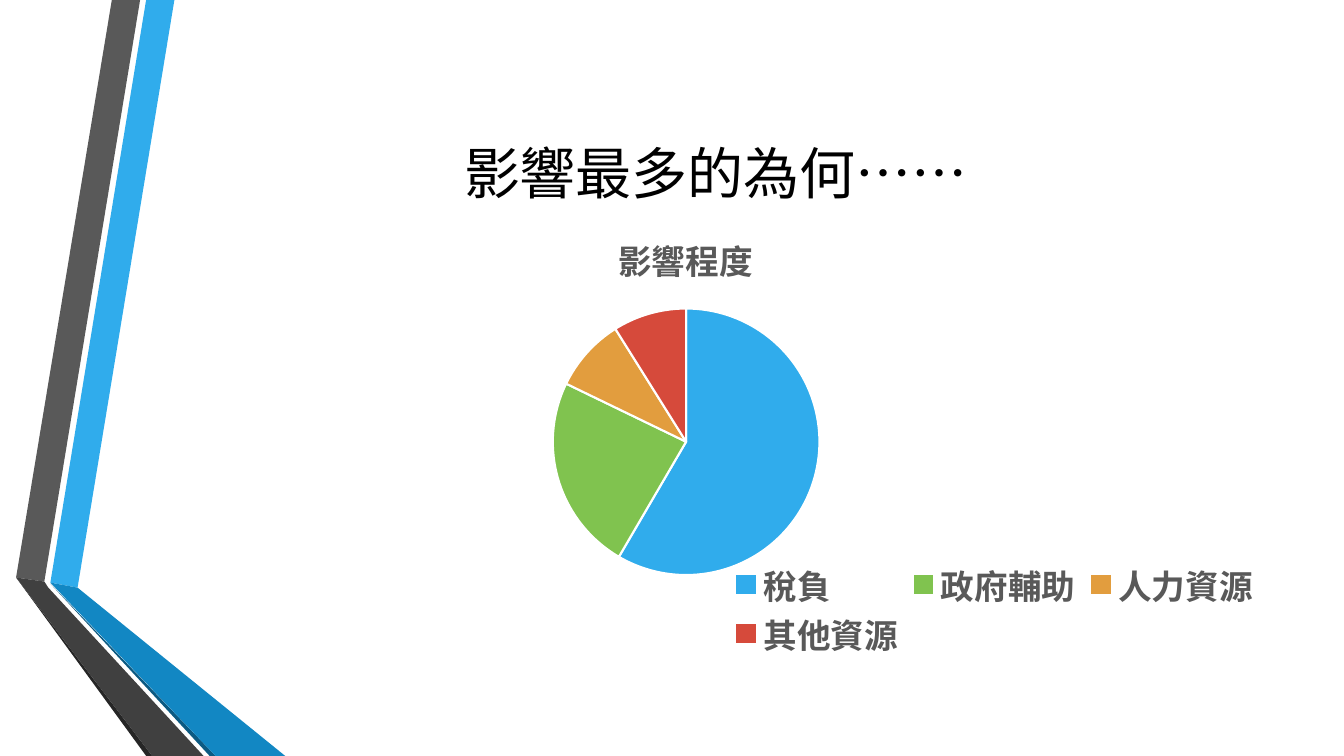
from lxml import etree
from pptx import Presentation
from pptx.chart.data import CategoryChartData
from pptx.dml.color import RGBColor
from pptx.enum.chart import XL_CHART_TYPE, XL_LEGEND_POSITION
from pptx.enum.text import MSO_ANCHOR, PP_ALIGN
from pptx.oxml import parse_xml
from pptx.oxml.ns import nsdecls, qn
from pptx.util import Inches, Pt

PIE = XL_CHART_TYPE.PIE
BOTTOM = XL_LEGEND_POSITION.BOTTOM
MIDDLE = MSO_ANCHOR.MIDDLE
CENTER = PP_ALIGN.CENTER

FONT = "Noto Sans CJK SC"
GRAY = "595959"
BLUE = "30ACEC"

# Ribbon faces, back to front: fill and corner points in inches
RIBBON = [
    (BLUE, [(0.5, 5.78), (0.77, 5.83), (1.73, 0), (1.45, 0)]),
    (GRAY, [(1.39, 0), (1.11, 0), (0.16, 5.73), (0.44, 5.77)]),
    ("262626", [(0.16, 5.73), (1.45, 7.5), (1.51, 7.5)]),
    ("0C5A82", [(0.5, 5.79), (2.08, 7.5), (2.14, 7.5)]),
    ("1287C3", [(0.5, 5.78), (2.14, 7.5), (2.83, 7.5), (0.77, 5.83)]),
    ("404040", [(2.02, 7.5), (0.48, 5.83), (0.44, 5.77), (0.16, 5.73),
                (1.51, 7.5)]),
]

SHARES = [
    ("稅負", 59, BLUE),
    ("政府輔助", 24, "80C34F"),
    ("人力資源", 9, "E29D3E"),
    ("其他資源", 9, "D64A3B"),
]


def color(code):
    return RGBColor.from_string(code)


def style(font, size, fill, bold=False):
    font.size = Pt(size)
    font.bold = bold
    font.color.rgb = color(fill)
    font.name = FONT


def write(frame, text, size=24, fill=GRAY, bold=False):
    para = frame.paragraphs[0]
    para.alignment = CENTER
    run = para.add_run()
    run.text = text
    style(run.font, size, fill, bold)
    props = run.font._element
    east = etree.SubElement(props, qn("a:ea"))
    east.set("typeface", FONT)


def layout(x, y, w, h, inner=False):
    """Chart layout element, with lengths as shares of the chart."""
    target = '<c:layoutTarget val="inner"/>' if inner else ""
    sizes = "".join(f'<c:{tag} val="{val}"/>'
                    for tag, val in zip("xywh", (x, y, w, h)))
    return parse_xml(
        f'<c:layout {nsdecls("c")}><c:manualLayout>{target}'
        '<c:xMode val="edge"/><c:yMode val="edge"/>'
        f'{sizes}</c:manualLayout></c:layout>')


class Deck:
    def __init__(self):
        self.prs = Presentation()
        self.prs.slide_width = Inches(13.33)
        self.prs.slide_height = Inches(7.5)
        self.slide = self.prs.slides.add_slide(self.prs.slide_layouts[6])
        self.shapes = self.slide.shapes

    def face(self, fill, points):
        spots = [(Inches(x), Inches(y)) for x, y in points]
        build = self.shapes.build_freeform(*spots[0])
        build.add_line_segments(spots[1:], close=True)
        shape = build.convert_to_shape()
        shape.shadow.inherit = False
        shape.fill.solid()
        shape.fill.fore_color.rgb = color(fill)
        shape.line.fill.background()

    def title(self, text, x, y, w, h):
        box = self.shapes.add_textbox(Inches(x), Inches(y),
                                      Inches(w), Inches(h))
        frame = box.text_frame
        frame.word_wrap = True
        frame.vertical_anchor = MIDDLE
        write(frame, text, size=40, fill="000000")

    def pie(self, name, shares, x, y, w, h):
        data = CategoryChartData()
        data.categories = [label for label, _, _ in shares]
        data.add_series("Series 1", [val for _, val, _ in shares])
        chart = self.shapes.add_chart(PIE, Inches(x), Inches(y), Inches(w),
                                      Inches(h), data).chart
        chart.font.size = Pt(20)
        chart.font.name = "Cabin"
        chart.font.color.rgb = color("000000")
        chart.has_title = True
        write(chart.chart_title.text_frame, name, bold=True)
        chart.chart_title.include_in_layout = False

        plot = chart.plots[0]
        plot.vary_by_categories = True
        for i, (_, _, fill) in enumerate(shares):
            form = plot.series[0].points[i].format
            form.fill.solid()
            form.fill.fore_color.rgb = color(fill)
            form.line.color.rgb = color("FFFFFF")
            form.line.width = Pt(1.5)

        chart.has_legend = True
        legend = chart.legend
        legend.position = BOTTOM
        legend.include_in_layout = False
        style(legend.font, 24, GRAY, bold=True)
        area = chart._chartSpace.chart.plotArea
        for old in area.findall(qn("c:layout")):
            area.remove(old)
        area.insert(0, layout(0.386, 0.217, 0.229, 0.597, inner=True))
        node = legend._element
        for old in node.findall(qn("c:layout")):
            node.remove(old)
        node.find(qn("c:legendPos")).addnext(layout(0.53, 0.78, 0.47, 0.22))

    def save(self):
        self.prs.save("out.pptx")


def main():
    deck = Deck()
    for fill, points in RIBBON:
        deck.face(fill, points)
    deck.title("影響最多的為何……", 1.62, 0.75, 10.96, 1.92)
    deck.pie("影響程度", SHARES, 1.02, 2.1, 11.56, 4.43)
    deck.save()


if __name__ == "__main__":
    main()
